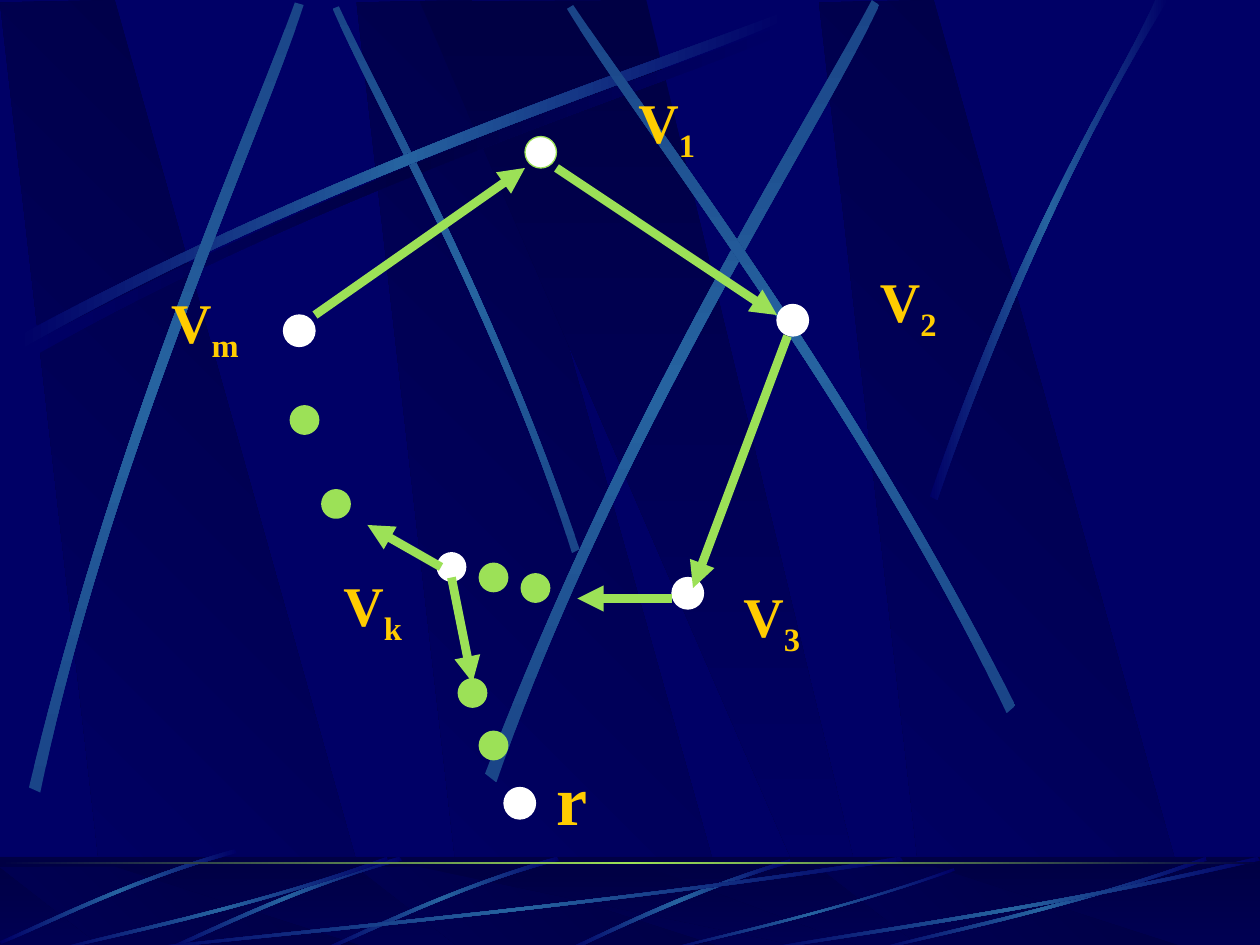
from lxml import etree
from pptx import Presentation
from pptx import util as u
from pptx.dml.color import RGBColor
from pptx.enum import shapes, text
from pptx.oxml import ns

NAVY = RGBColor(0x00, 0x00, 0x66)
DARK = RGBColor(0x00, 0x00, 0x44)
BLUE = RGBColor(0x26, 0x63, 0xA0)
DIM_BLUE = RGBColor(0x1A, 0x45, 0x88)
GREEN = RGBColor(0x9C, 0xE1, 0x57)
WHITE = RGBColor(0xFF, 0xFF, 0xFF)
GOLD = RGBColor(0xFF, 0xCC, 0x00)

presentation = Presentation()
presentation.slide_width = u.Inches(10)
presentation.slide_height = u.Inches(7.5)
master = presentation.slide_master
master.background.fill.solid()
master.background.fill.fore_color.rgb = NAVY
slide = presentation.slides.add_slide(presentation.slide_layouts[6])
CELL = presentation.slide_width // 120


def paint_gradient(shape, colors, angle):
    shape.shadow.inherit = False
    shape.line.fill.background()
    shape.fill.gradient()
    gradient = shape._element.spPr.find(ns.qn("a:gradFill"))
    stops = gradient.find(ns.qn("a:gsLst"))
    for stop in list(stops):
        stops.remove(stop)
    for index, color in enumerate(colors):
        position = 100000 * index // (len(colors) - 1)
        stop = etree.SubElement(stops, ns.qn("a:gs"), pos=str(position))
        etree.SubElement(stop, ns.qn("a:srgbClr"), val=str(color))
    gradient.find(ns.qn("a:lin")).set("ang", str(angle * 60000))


def add_outline(points, colors, angle, curved=False):
    corners = [(u.Inches(x), u.Inches(y)) for x, y in points]
    builder = slide.shapes.build_freeform(*corners[0], scale=1.0)
    builder.add_line_segments(corners[1:], close=True)
    shape = builder.convert_to_shape()
    if curved:
        segments = shape._element.findall(".//" + ns.qn("a:lnTo"))
        for group in (segments[:3], segments[4:7]):
            curve = etree.Element(ns.qn("a:cubicBezTo"))
            group[0].addprevious(curve)
            for segment in group:
                curve.append(segment[0])
                segment.getparent().remove(segment)
    paint_gradient(shape, colors, angle)


WIDE_PANEL = [(0.86, 7.5), (3.02, 7.52), (0.91, 0), (0, 0.02)]
NARROW_PANEL = [(3.33, 0.01), (6.58, 7.51), (6.94, 7.51), (5.13, 0)]
PANELS = [(WIDE_PANEL, left, 135) for left in (2.83, 0, 6.5)] + [(NARROW_PANEL, 0, 90)]
for panel, left, angle in PANELS:
    add_outline([(x + left, y) for x, y in panel], (DARK, NAVY), angle)

LONG_BEAM = [(0.14, 2.67), (2.78, 1.25), (5.18, 0.51), (6.2, 0.1),
             (6.23, 0.16), (5.22, 0.61), (2.48, 1.43), (0.17, 2.77)]
STEEP_BEAMS = [
    [(0.23, 6.25), (0.93, 3.34), (1.97, 1.05), (2.34, 0.02),
     (2.41, 0.04), (2.07, 1.09), (0.86, 3.68), (0.32, 6.29)],
    [(3.85, 6.14), (4.98, 3.2), (6.38, 1.02), (6.92, 0),
     (6.98, 0.04), (6.49, 1.08), (4.86, 3.55), (3.94, 6.21)],
    [(8.06, 5.6), (6.7, 2.93), (5.16, 0.95), (4.55, 0.04),
     (4.5, 0.07), (5.07, 1.01), (6.85, 3.25), (7.99, 5.66)],
]
LEFT_BEAM = [(4.6, 4.36), (3.91, 2.34), (3.02, 0.77), (2.69, 0.05),
             (2.64, 0.07), (2.95, 0.79), (3.98, 2.58), (4.54, 4.39)]
RIGHT_BEAM = [(7.38, 3.94), (8.14, 1.73), (8.88, 0.66), (9.17, 0),
              (9.27, 0), (8.36, 1.45), (7.69, 3.22), (7.44, 3.97)]
GLOW = (NAVY, BLUE, NAVY)
DIM_GLOW = (DIM_BLUE, BLUE, DIM_BLUE)
add_outline([(x + 0.06, y + 0.08) for x, y in LONG_BEAM], (NAVY, DARK, NAVY), 180, True)
add_outline(LEFT_BEAM, DIM_GLOW, 90, True)
add_outline(LONG_BEAM, GLOW, 180, True)
for beam in STEEP_BEAMS:
    add_outline(beam, DIM_GLOW, 90, True)
add_outline(RIGHT_BEAM, GLOW, 180, True)

FLOOR = (0, u.Inches(6.8), presentation.slide_width, u.Inches(0.75))
floor = slide.shapes.add_shape(shapes.MSO_SHAPE.RECTANGLE, *FLOOR)
paint_gradient(floor, (DARK, NAVY), 90)
for panel, left, angle in PANELS:
    add_outline([(x + left, 6.88 + y * 0.09) for x, y in panel], (DARK, NAVY), angle)
shade = slide.shapes.add_shape(shapes.MSO_SHAPE.RECTANGLE, *FLOOR)
shade.shadow.inherit = False
shade.line.fill.background()
shade.fill.solid()
shade.fill.fore_color.rgb = DARK
shade_color = shade._element.spPr.find(".//" + ns.qn("a:srgbClr"))
etree.SubElement(shade_color, ns.qn("a:alpha"), val="50000")

SHORT_STREAK = [(4.42, 6.8), (3.55, 7.05), (2.87, 7.4), (2.56, 7.53),
                (2.57, 7.55), (2.88, 7.43), (3.65, 7.03), (4.44, 6.83)]
MIDDLE_STREAK = [(3.08, 6.83), (1.93, 7.23), (0.88, 7.44), (0.43, 7.55),
                 (0.42, 7.54), (0.86, 7.41), (2.06, 7.18), (3.07, 6.8)]
STREAKS = [
    ([(6.27, 6.82), (5.37, 7.09), (4.77, 7.42), (4.48, 7.54),
      (4.53, 7.55), (4.9, 7.37), (5.71, 7), (6.28, 6.85)], 0, 0),
    (SHORT_STREAK, 0, 0),
    (SHORT_STREAK, -1.25, 0),
    (SHORT_STREAK, -2.56, -0.06),
    ([(7.17, 6.83), (4.49, 7.23), (2.06, 7.44), (1.03, 7.55),
      (1, 7.54), (2.02, 7.41), (4.8, 7.18), (7.14, 6.8)], 0, 0),
    (MIDDLE_STREAK, 0, 0),
    ([(7.58, 6.91), (6.58, 7.26), (5.67, 7.45), (5.28, 7.55),
      (5.27, 7.54), (5.65, 7.43), (6.69, 7.22), (7.57, 6.89)], 0, 0),
    (MIDDLE_STREAK, 6.5, 0),
    ([(10, 6.83), (8.27, 7.23), (6.69, 7.44), (6.02, 7.55),
      (6, 7.54), (6.66, 7.41), (8.46, 7.18), (9.98, 6.8)], 0, 0),
]
for streak, shift_x, shift_y in STREAKS:
    add_outline([(x + shift_x, y + shift_y) for x, y in streak], GLOW, 180, True)
horizon = slide.shapes.add_shape(shapes.MSO_SHAPE.RECTANGLE, 0, u.Inches(6.84),
                                 presentation.slide_width, u.Inches(0.02))
paint_gradient(horizon, (DARK, GREEN, DARK), 180)

for number, scenery in enumerate(list(slide.shapes), 100):
    scenery._element.nvSpPr.cNvPr.set("id", str(number))
    master.shapes._spTree.append(scenery._element)

NODES = [
    (50, 13, 3, WHITE, GREEN, 0.75), (27, 30, 3, WHITE, WHITE, 0.75),
    (64, 55, 3, WHITE, WHITE, 0.75), (74, 29, 3, WHITE, WHITE, 0.75),
    (48, 75, 3, WHITE, WHITE, 0.75), (42, 53, 2, WHITE, WHITE, 5),
]
DOTS = [(46, 54), (50, 55), (44, 65), (28, 39), (31, 47), (46, 70)]
for column, row, size, fill, outline, width in NODES + [
        (column, row, 2, GREEN, GREEN, 5) for column, row in DOTS]:
    node = slide.shapes.add_shape(shapes.MSO_SHAPE.OVAL, column * CELL, row * CELL,
                                  size * CELL, size * CELL)
    node.shadow.inherit = False
    node.fill.solid()
    node.fill.fore_color.rgb = fill
    node.line.color.rgb = outline
    node.line.width = u.Pt(width)

ARROWS = [(53, 16, 74, 30), (75, 32, 66, 56), (64, 57, 55, 57),
          (30, 30, 50, 16), (43, 55, 45, 65), (42, 54, 35, 50)]
for ends in ARROWS:
    arrow = slide.shapes.add_connector(shapes.MSO_CONNECTOR.STRAIGHT,
                                       *[end * CELL for end in ends])
    arrow.line.color.rgb = GREEN
    arrow.line.width = u.Pt(5)
    etree.SubElement(arrow.line._get_or_add_ln(), ns.qn("a:tailEnd"), type="triangle")
    etree.SubElement(arrow._element.spPr, ns.qn("a:effectLst"))

LABELS = [(57, 8, "V", "1", 32), (80, 25, "V", "2", 32), (67, 55, "V", "3", 32),
          (48, 72, "r", "", 40), (13, 27, "V", "m", 32), (29, 54, "V", "k", 32)]
for column, row, name, subscript, size in LABELS:
    label = slide.shapes.add_textbox(column * CELL, row * CELL, 13 * CELL, 8 * CELL)
    label.text_frame.word_wrap = False
    label.text_frame.vertical_anchor = text.MSO_ANCHOR.MIDDLE
    label.text_frame.text = name
    paragraph = label.text_frame.paragraphs[0]
    paragraph.alignment = text.PP_ALIGN.CENTER
    if subscript:
        paragraph.add_run().text = subscript
    for run in paragraph.runs:
        run.font.name = "Times New Roman"
        run.font.size = u.Pt(size)
        run.font.bold = True
        run.font.color.rgb = GOLD
    for run in paragraph.runs[1:]:
        run.font._element.set("baseline", "-25000")

presentation.save("out.pptx")
